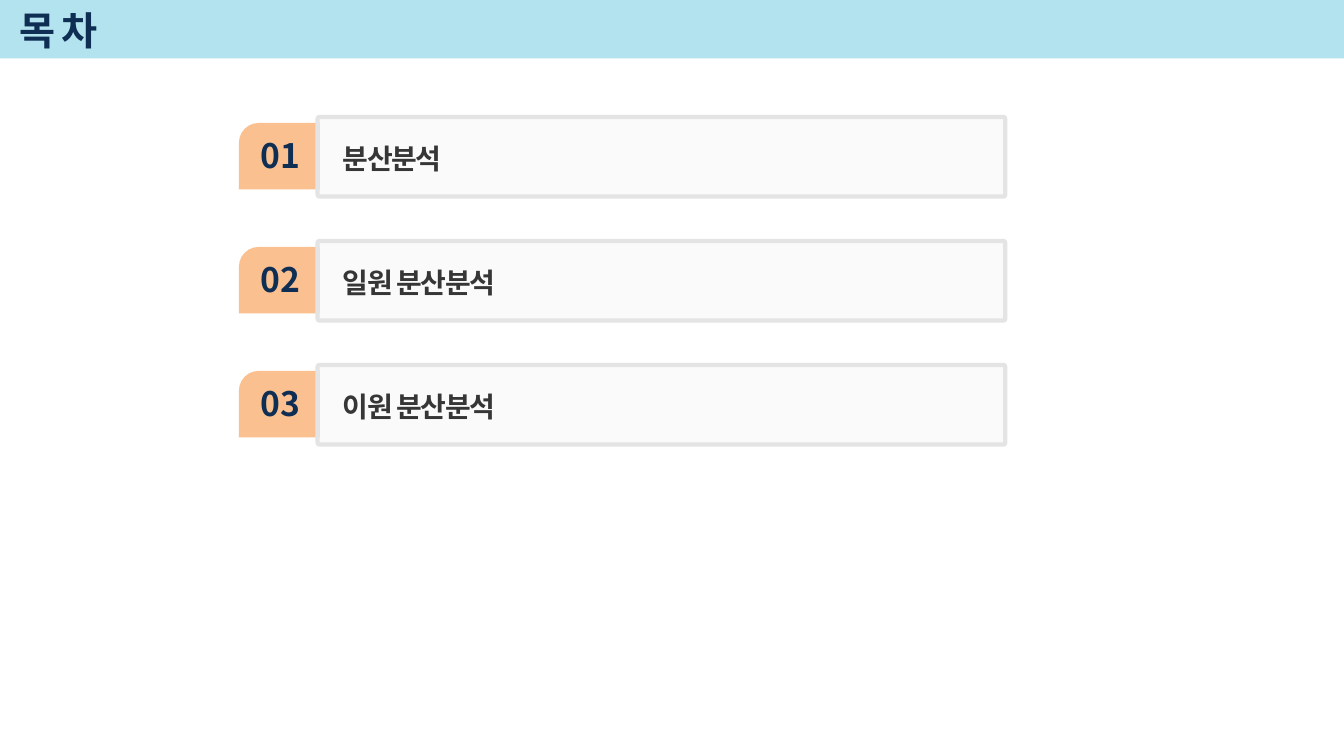
from pptx import Presentation
from pptx.util import Inches, Pt
from pptx.dml.color import RGBColor
from pptx.enum.shapes import MSO_SHAPE
from pptx.enum.text import MSO_ANCHOR, MSO_AUTO_SIZE, PP_ALIGN
from pptx.oxml.ns import qn
from lxml.etree import SubElement

TITLE = "목 차"
TOPICS = ["분산분석", "일원 분산분석", "이원 분산분석"]

THEME = {
    "font": "Noto Sans CJK KR",
    "band": "B3E3EE", "tab": "FAC090", "bar": "F2F2F2", "edge": "E4E4E4",
    "navy": "0F2E53", "dark": "363636",
    "title": 28, "number": 24, "topic": 20,
}
TOP, PITCH = 1.16, 1.23


def add_box(shapes, kind, area, fill, adjust=()):
    box = shapes.add_shape(kind, *map(Inches, area))
    box.shadow.inherit = False
    for i, value in enumerate(adjust):
        box.adjustments[i] = value
    box.fill.solid()
    box.fill.fore_color.rgb = RGBColor.from_string(THEME[fill])
    box.line.fill.background()
    return box


def add_text(shapes, area, text, size, color, spacing=0, wrap=True):
    box = shapes.add_textbox(*map(Inches, area))
    frame = box.text_frame
    frame.word_wrap = wrap
    para = frame.paragraphs[0]
    run = para.add_run()
    run.text = text
    font = run.font
    font.size = Pt(THEME[size])
    font.bold = True
    font.name = THEME["font"]
    font.color.rgb = RGBColor.from_string(THEME[color])
    props = run._r.get_or_add_rPr()
    SubElement(props, qn("a:ea")).set("typeface", THEME["font"])
    if spacing:
        props.set("spc", str(spacing))
    return frame


def add_row(slide, index, topic):
    top = TOP + index * PITCH
    shapes = slide.shapes.add_group_shape().shapes
    add_box(shapes, MSO_SHAPE.SNIP_ROUND_RECTANGLE,
            (2.37, top + 0.06, 0.8, 0.66), "tab", (0.296, 0))
    number = add_text(shapes, (2.49, top + 0.13, 0.59, 0.5),
                      f"{index + 1:02}", "number", "navy", wrap=False)
    number.auto_size = MSO_AUTO_SIZE.SHAPE_TO_FIT_TEXT
    number.paragraphs[0].alignment = PP_ALIGN.CENTER

    bar = add_box(shapes, MSO_SHAPE.ROUNDED_RECTANGLE,
                  (3.15, top, 6.82, 0.79), "bar", (0.023,))
    tint = bar.fill._xPr.find(qn("a:solidFill"))[0]
    SubElement(tint, qn("a:alpha")).set("val", "33000")
    bar.line.color.rgb = RGBColor.from_string(THEME["edge"])
    bar.line.width = Pt(3)

    label = add_text(shapes, (3.3, top + 0.16, 5.28, 0.44),
                     topic, "topic", "dark", -100)
    label.auto_size = MSO_AUTO_SIZE.SHAPE_TO_FIT_TEXT
    label.paragraphs[0].line_spacing = 1.1
    label.paragraphs[0].space_after = Pt(3)


def main():
    deck = Presentation()
    deck.slide_width, deck.slide_height = Inches(13.33), Inches(7.5)
    slide = deck.slides.add_slide(deck.slide_layouts[6])
    add_box(slide.shapes, MSO_SHAPE.RECTANGLE, (0, -0.02, 13.33, 0.6), "band")
    for index, topic in enumerate(TOPICS):
        add_row(slide, index, topic)
    title = add_text(slide.shapes, (0.09, 0.04, 11.35, 0.52),
                     TITLE, "title", "navy", -100)
    title.vertical_anchor = MSO_ANCHOR.MIDDLE
    deck.save("out.pptx")


if __name__ == "__main__":
    main()
